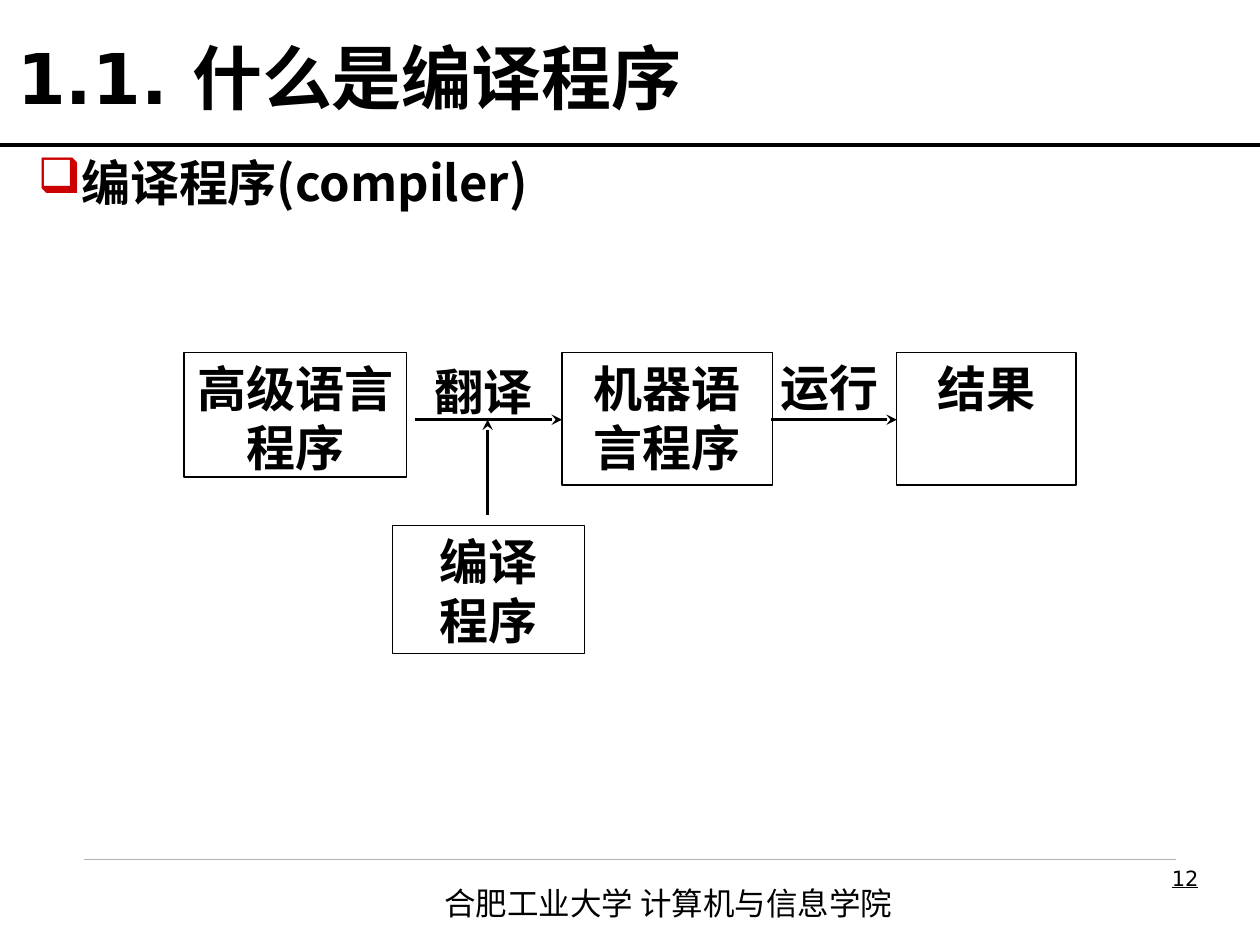
"""Builds the slide that explains what a compiler does."""
from dataclasses import dataclass

import lxml.etree
import pptx
import pptx.dml.color
import pptx.enum.shapes
import pptx.enum.text
import pptx.oxml.ns
import pptx.util

Cm = pptx.util.Cm
Align = pptx.enum.text.PP_ALIGN
Anchor = pptx.enum.text.MSO_ANCHOR
qn = pptx.oxml.ns.qn

CHINESE_FONT = "Noto Sans CJK SC"
LATIN_FONT = "DejaVu Sans"
SERIF_FONT = "Times New Roman"
BLACK = "000000"
RED = "CC0000"
GREY = "B2B2B2"
ARROW_Y = 8.46
BOX_TOP = 7.11


@dataclass
class Text:
    left: float
    top: float
    width: float
    height: float
    lines: tuple[str, ...]
    size: float = 28
    font: str = CHINESE_FONT
    bold: bool = True
    underline: bool = False
    align: Align = Align.CENTER
    anchor: Anchor = Anchor.TOP
    wrap: bool = True
    framed: bool = False
    bullet: str = ""


@dataclass
class Line:
    start: tuple[float, float]
    end: tuple[float, float]
    width: float = 2
    color: str = BLACK
    arrow: bool = False


TEXTS = [
    Text(8.71, 17.7, 12.19, 1.02, ("合肥工业大学 计算机与信息学院",), 18, bold=False, align=Align.LEFT),
    Text(3.71, BOX_TOP, 4.48, 2.51, ("高级语言程序",), framed=True),
    Text(11.33, BOX_TOP, 4.24, 2.67, ("机器语言程序",), framed=True),
    Text(18.08, BOX_TOP, 3.61, 2.67, ("结果",), font=SERIF_FONT, framed=True),
    Text(7.92, 10.59, 3.86, 2.59, ("编译", "程序"), framed=True),
    Text(8.15, BOX_TOP, 3.18, 1.55, ("翻译",), font=SERIF_FONT, anchor=Anchor.MIDDLE, wrap=False),
    Text(15.14, 6.93, 3.18, 1.73, ("运行",), font=SERIF_FONT, anchor=Anchor.MIDDLE, wrap=False),
    Text(0.1, 0.41, 21.59, 2.11, ("1.1. 什么是编译程序",), 40, LATIN_FONT,
         align=Align.LEFT, anchor=Anchor.BOTTOM),
    Text(0.51, 2.95, 24.89, 2.64, ("编译程序(compiler)",), align=Align.LEFT, bullet="❑"),
    Text(18.9, 17.32, 5.51, 1.32, ("12",), 12, LATIN_FONT, bold=False, underline=True, align=Align.RIGHT),
]

LINES = [
    Line((1.7, 17.32), (23.7, 17.32), 0.25, GREY),
    Line((0, 2.92), (25.4, 2.92), 2.25),
    Line((8.36, ARROW_Y), (11.33, ARROW_Y), arrow=True),
    Line((15.54, ARROW_Y), (18.08, ARROW_Y), arrow=True),
    Line((9.83, 10.39), (9.83, ARROW_Y), arrow=True),
]


def rgb(color: str) -> pptx.dml.color.RGBColor:
    """Turn a hex string into a colour."""
    return pptx.dml.color.RGBColor.from_string(color)


def add_bullet(paragraph, character: str) -> None:
    """Give a paragraph a red bullet with a hanging indent."""
    properties = paragraph._p.get_or_add_pPr()
    indent = Cm(0.79)
    properties.set("marL", str(indent))
    properties.set("indent", str(-indent))
    color = lxml.etree.SubElement(properties, qn("a:buClr"))
    lxml.etree.SubElement(color, qn("a:srgbClr"), val=RED)
    lxml.etree.SubElement(properties, qn("a:buChar"), char=character)


def add_text(slide, text: Text) -> None:
    """Draw a text box or a framed rectangle with its text."""
    place = [Cm(value) for value in (text.left, text.top, text.width, text.height)]
    if text.framed:
        shape = slide.shapes.add_shape(pptx.enum.shapes.MSO_SHAPE.RECTANGLE, *place)
        shape.shadow.inherit = False
        shape.fill.background()
        shape.line.color.rgb = rgb(BLACK)
        shape.line.width = pptx.util.Pt(0.75)
    else:
        shape = slide.shapes.add_textbox(*place)
    frame = shape.text_frame
    frame.word_wrap = text.wrap
    frame.vertical_anchor = text.anchor
    for index, line in enumerate(text.lines):
        paragraph = frame.add_paragraph() if index else frame.paragraphs[0]
        paragraph.alignment = text.align
        if text.bullet:
            add_bullet(paragraph, text.bullet)
        run = paragraph.add_run()
        run.text = line
        run.font.size = pptx.util.Pt(text.size)
        run.font.bold = text.bold
        run.font.underline = text.underline
        run.font.color.rgb = rgb(BLACK)
        run.font.name = text.font
        lxml.etree.SubElement(run._r.get_or_add_rPr(), qn("a:ea"), typeface=CHINESE_FONT)


def add_line(slide, line: Line) -> None:
    """Draw a straight line, with an arrowhead at its end if asked."""
    points = [Cm(value) for value in (*line.start, *line.end)]
    connector = slide.shapes.add_connector(pptx.enum.shapes.MSO_CONNECTOR.STRAIGHT, *points)
    connector.line.color.rgb = rgb(line.color)
    connector.line.width = pptx.util.Pt(line.width)
    if line.arrow:
        outline = connector.line._get_or_add_ln()
        lxml.etree.SubElement(outline, qn("a:tailEnd"), type="stealth")
    lxml.etree.SubElement(connector._element.spPr, qn("a:effectLst"))


def main() -> None:
    """Build and save the presentation."""
    presentation = pptx.Presentation()
    presentation.slide_width = Cm(25.4)
    presentation.slide_height = Cm(19.05)
    slide = presentation.slides.add_slide(presentation.slide_layouts[6])
    for line in LINES:
        add_line(slide, line)
    for text in TEXTS:
        add_text(slide, text)
    presentation.save("out.pptx")


if __name__ == "__main__":
    main()
